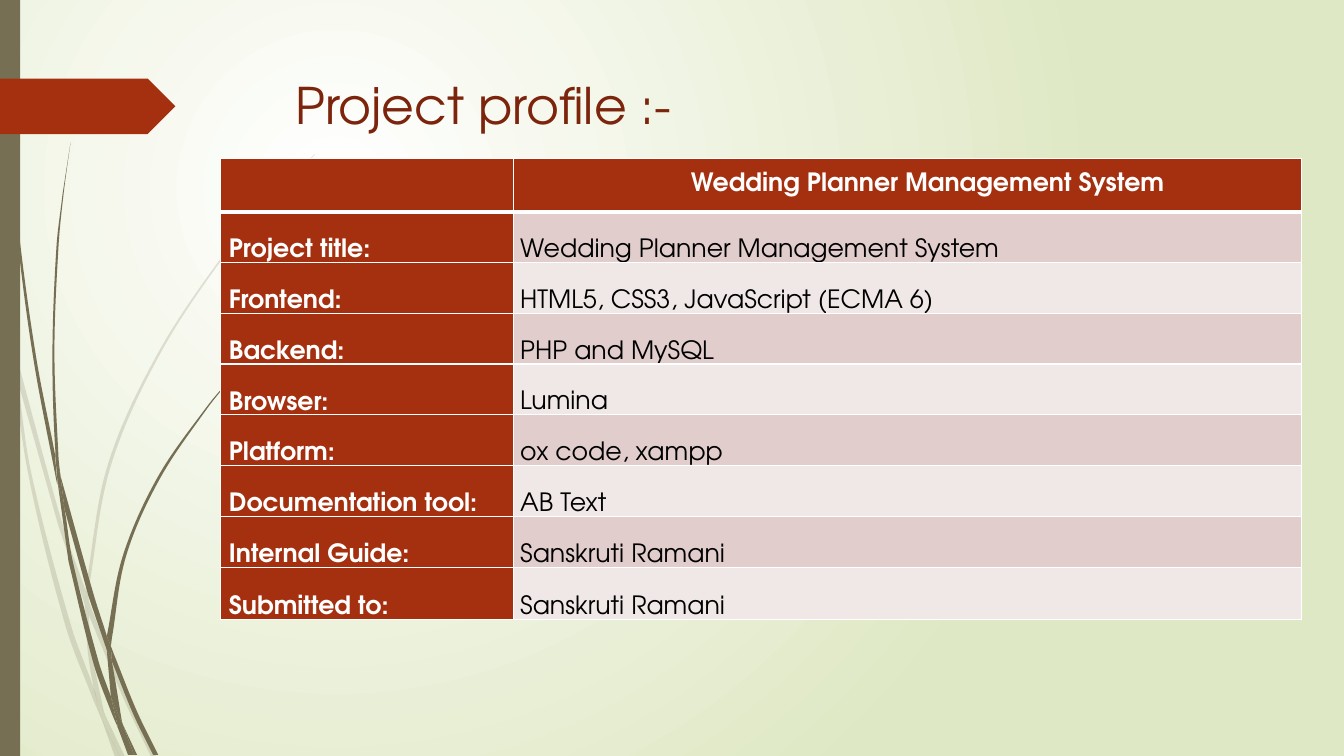
from math import dist

from pptx import Presentation
from pptx.dml.color import RGBColor
from pptx.enum.shapes import MSO_SHAPE
from pptx.enum.text import MSO_ANCHOR, PP_ALIGN
from pptx.oxml import parse_xml
from pptx.oxml.ns import nsdecls, qn
from pptx.util import Inches, Pt

FONT = "TeX Gyre Adventor"
OLIVE = "766F54"
RUST = "A53010"
WHITE = "FFFFFF"
UNITS = 1000


def colour(code):
    return RGBColor.from_string(code)


def bend(before, start, end, after):
    reach = dist(start, end) / 3
    leave = reach / dist(before, end)
    arrive = reach / dist(start, after)
    return [
        tuple(s + (e - b) * leave for b, s, e in zip(before, start, end)),
        tuple(e - (a - s) * arrive for s, e, a in zip(start, end, after)),
        end,
    ]


deck = Presentation()
deck.slide_width = Inches(13.33)
deck.slide_height = Inches(7.5)
page = deck.slides.add_slide(deck.slide_layouts[6])

backdrop = page.background.fill
backdrop.gradient()
for stop, code in zip(backdrop.gradient_stops, (WHITE, "DFE8C4")):
    stop.color.rgb = colour(code)
gradient = page.element.find(".//" + qn("a:gradFill"))
gradient.replace(gradient.find(qn("a:lin")), parse_xml(
    f'<a:path {nsdecls("a")} path="circle">'
    '<a:fillToRect l="50000" t="50000" r="100000" b="100000"/></a:path>'
))

pale_grass = [
    ([(0.11, 3.5), (0.09, 3.22), (0, 2.82)], [(0, 2.99), (0.1, 3.44)]),
    ([(0.58, 5.22), (0.84, 5.99)], [(0.85, 5.86), (0.62, 5.2), (0.14, 3.45)], [(0.17, 3.76), (0.58, 5.22)]),
    ([(0.88, 5.96), (0.92, 6.07), (1.27, 6.92), (1.55, 7.51)], [(1.5, 7.51), (1.23, 6.94), (0.88, 6.1)]),
    ([(1.19, 7.51), (1.24, 7.51)], [(1.05, 7.11)]),
    ([(0.11, 3.5), (0.17, 3.76), (0.31, 4.69), (0.7, 6.19), (0.93, 6.83), (0.99, 7.07), (1.01, 7.14)],
     [(0.92, 6.93), (0.65, 6.21), (0.28, 4.7), (0.11, 3.5)]),
    ([(0.84, 5.99), (0.87, 6.46), (0.93, 6.83), (0.96, 6.92), (1.05, 7.11)],
     [(1.03, 7.06), (0.91, 6.46), (0.88, 6.1), (0.88, 6.08)]),
    ([(0.88, 5.84), (1.1, 4.62), (1.6, 3.49), (2.29, 2.45), (2.68, 1.98), (2.9, 1.75), (3.12, 1.54)],
     [(3.12, 1.53), (2.89, 1.75), (2.68, 1.97), (2.28, 2.44), (1.58, 3.48), (1.07, 4.61),
      (0.85, 5.84), (0.85, 5.86)], [(0.88, 5.96)]),
    ([(1.01, 7.14), (1.14, 7.51)], [(1.19, 7.51)]),
    ([(0.88, 6.08), (0.88, 6.1)], [(0.88, 5.96), (0.85, 5.86)], [(0.84, 5.99)]),
    ([(0.96, 6.92), (0.93, 6.83)], [(0.99, 7.07), (1.01, 7.14), (1.19, 7.51)], [(1.05, 7.11)]),
]
dark_grass = [
    ([(0.04, 0), (0.03, 0)],
     [(0.04, 0.48), (0.07, 1.1), (0.17, 2.33), (0.33, 3.55), (0.56, 4.77), (0.57, 4.81)],
     [(0.55, 4.57), (0.55, 4.53), (0.36, 3.55), (0.19, 2.32), (0.08, 1.09), (0.05, 0.48), (0.04, 0)]),
    ([(0.88, 5.92), (1.06, 6.45)], [(1.06, 6.33), (1.06, 6.31), (0.93, 5.9), (0.6, 4.72)],
     [(0.64, 5.05), (0.88, 5.92)]),
    ([(1.13, 6.49), (1.1, 6.41)], [(1.11, 6.56), (1.32, 7.08), (1.52, 7.49)],
     [(1.57, 7.49), (1.36, 7.06), (1.13, 6.49)]),
    ([(1.1, 6.91), (0.98, 6.57), (0.72, 5.56), (0.64, 5.05), (0.57, 4.77)],
     [(0.68, 5.57), (0.93, 6.59), (1.11, 7.08), (1.17, 7.22)], [(1.16, 7.17), (1.1, 6.91)]),
    ([(0.6, 4.72), (0.58, 4.53), (0.54, 3.49), (0.58, 2.45), (0.63, 1.93), (0.7, 1.41)],
     [(0.62, 1.93), (0.56, 2.45), (0.52, 3.49), (0.55, 4.49), (0.6, 4.72)]),
    ([(1.33, 7.49), (1.36, 7.49)], [(1.22, 7.19)]),
    ([(0.57, 4.77), (0.64, 5.05)], [(0.6, 4.72), (0.55, 4.49)], [(0.55, 4.53)]),
    ([(1.11, 6.33), (1.25, 5.52), (1.58, 4.76), (2.05, 4.06), (2.31, 3.74), (2.45, 3.59), (2.61, 3.44)],
     [(2.6, 3.44), (2.45, 3.58), (2.31, 3.73), (2.04, 4.05), (1.56, 4.74), (1.22, 5.51), (1.06, 6.31)],
     [(1.1, 6.41)]),
    ([(1.17, 7.22), (1.27, 7.49)], [(1.31, 7.49)]),
    ([(1.06, 6.45), (1.1, 6.91)], [(1.16, 7.06), (1.22, 7.19)],
     [(1.21, 7.16), (1.11, 6.56), (1.09, 6.51)]),
    ([(1.06, 6.45), (1.09, 6.51), (1.11, 6.56)], [(1.1, 6.41), (1.06, 6.31)], [(1.06, 6.33)]),
    ([(1.16, 7.06), (1.1, 6.91)], [(1.16, 7.17), (1.17, 7.22), (1.3, 7.49)],
     [(1.33, 7.49), (1.22, 7.19)]),
]
for blades, opacity in ((pale_grass, 20), (dark_grass, 100)):
    for edges in blades:
        outline = [(x * UNITS, y * UNITS) for edge in edges for x, y in edge]
        builder = page.shapes.build_freeform(*outline[0], scale=Inches(1) / UNITS)
        builder.add_line_segments(outline[1:], close=True)
        blade = builder.convert_to_shape()
        blade.shadow.inherit = False
        blade.fill.solid()
        blade.fill.fore_color.rgb = colour(OLIVE)
        blade.line.fill.background()
        if opacity < 100:
            tint = blade.element.spPr.find(".//" + qn("a:srgbClr"))
            tint.append(parse_xml(f'<a:alpha {nsdecls("a")} val="{opacity * 1000}"/>'))
        route = blade.element.find(".//" + qn("a:path"))
        knots = [(int(dot.get("x")), int(dot.get("y"))) for dot in route.iter(qn("a:pt"))]
        strokes = route.findall(qn("a:lnTo"))
        first = 0
        for edge in edges:
            run = knots[first:first + len(edge)]
            padded = [run[0], *run, run[-1]]
            for offset in range(len(run) - 1):
                dots = "".join(
                    f'<a:pt x="{round(x)}" y="{round(y)}"/>'
                    for x, y in bend(*padded[offset:offset + 4])
                )
                route.replace(strokes[first + offset], parse_xml(
                    f'<a:cubicBezTo {nsdecls("a")}>{dots}</a:cubicBezTo>'
                ))
            first += len(edge)

for preset, top, width, height, code in (
    (MSO_SHAPE.RECTANGLE, 0, 0.2, 7.5, OLIVE),
    (MSO_SHAPE.PENTAGON, 0.78, 1.74, 0.55, RUST),
):
    accent = page.shapes.add_shape(preset, 0, Inches(top), Inches(width), Inches(height))
    accent.shadow.inherit = False
    accent.fill.solid()
    accent.fill.fore_color.rgb = colour(code)
    accent.line.fill.background()

title = page.shapes.add_textbox(Inches(2.83), Inches(0.69), Inches(9.75), Inches(1.4))
title.text_frame.word_wrap = True
span = title.text_frame.paragraphs[0].add_run()
span.text = "Project profile :-"
span.font.name = FONT
span.font.size = Pt(36)
span.font.color.rgb = colour("7C240C")

profile = [
    ("", "Wedding Planner Management System"),
    ("Project title:", "Wedding Planner Management System"),
    ("Frontend:", "HTML5, CSS3, JavaScript (ECMA 6)"),
    ("Backend:", "PHP and MySQL"),
    ("Browser:", "Lumina"),
    ("Platform:", "ox code, xampp"),
    ("Documentation tool:", "AB Text"),
    ("Internal Guide:", "Sanskruti Ramani"),
    ("Submitted to:", "Sanskruti Ramani"),
]
column_widths = (2.9, 7.82)
row_heights = (0.53, *[3.53 / 7] * 7, 0.52)
table = page.shapes.add_table(
    len(profile), 2, Inches(2.19), Inches(1.57),
    Inches(sum(column_widths)), Inches(sum(row_heights)),
).table
for column, width in zip(table.columns, column_widths):
    column.width = Inches(width)
for number, (height, entries) in enumerate(zip(row_heights, profile)):
    table.rows[number].height = Inches(height)
    header = number == 0
    band = "E1CDCC" if number % 2 else "F0E8E7"
    for place, wording in enumerate(entries):
        cell = table.cell(number, place)
        strong = header or place == 0
        cell.margin_left = Inches(0.4 if header else 0.07 if place else 0.08)
        cell.margin_right = cell.margin_top = cell.margin_bottom = 0
        cell.vertical_anchor = MSO_ANCHOR.MIDDLE if header else MSO_ANCHOR.BOTTOM
        properties = cell._tc.get_or_add_tcPr()
        for side in "LRTB":
            weight = Pt(3 if header and side == "B" else 1)
            properties.append(parse_xml(
                f'<a:ln{side} {nsdecls("a")} w="{weight}"><a:solidFill>'
                f'<a:srgbClr val="{WHITE}"/></a:solidFill></a:ln{side}>'
            ))
        cell.fill.solid()
        cell.fill.fore_color.rgb = colour(RUST if strong else band)
        para = cell.text_frame.paragraphs[0]
        para.alignment = PP_ALIGN.CENTER if header else PP_ALIGN.LEFT
        if wording:
            span = para.add_run()
            span.text = wording
            span.font.name = FONT
            span.font.size = Pt(18)
            span.font.bold = strong
            span.font.color.rgb = colour(WHITE if strong else "000000")

deck.save("out.pptx")
